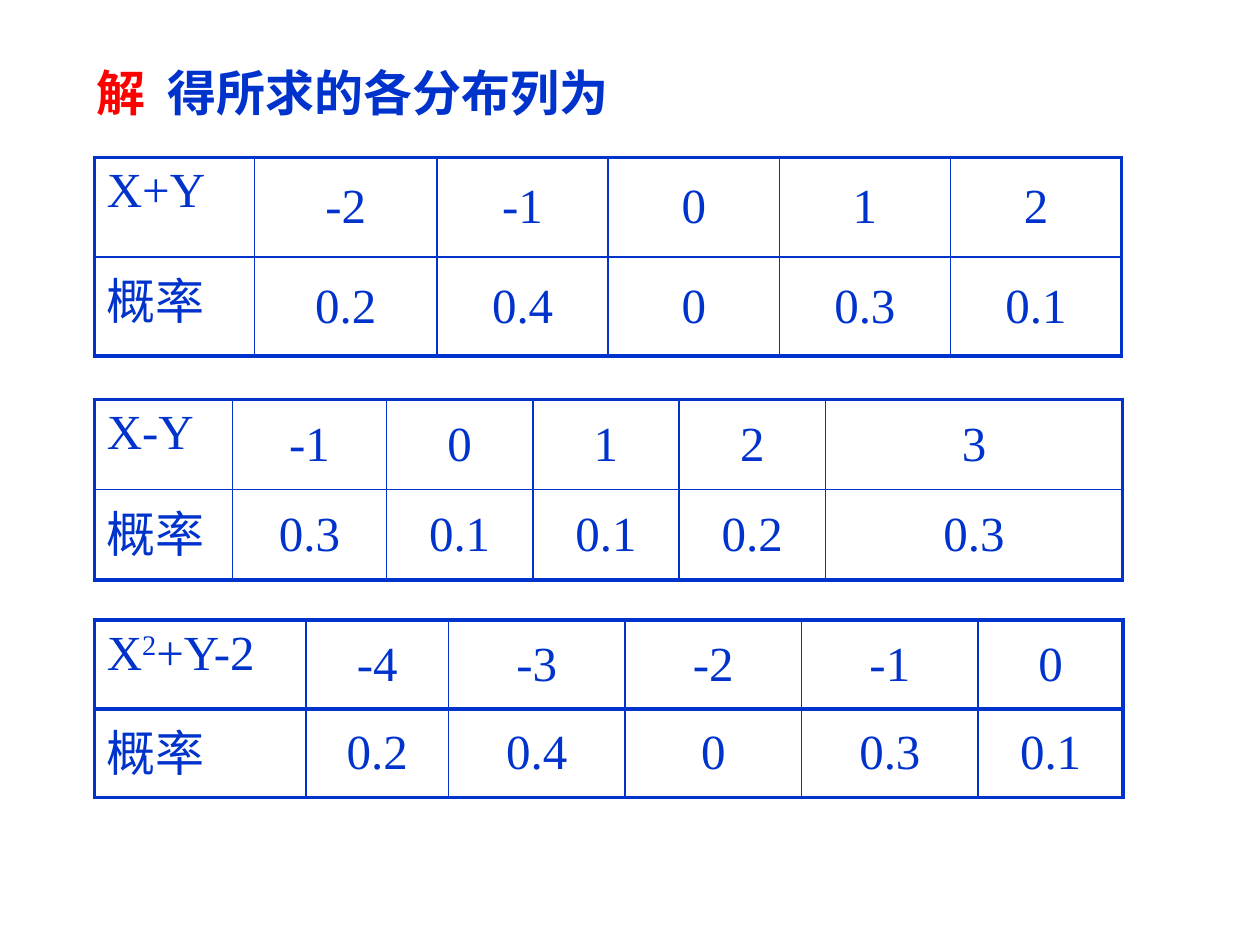
"""Build a slide with three probability distribution tables."""
from lxml import etree
from pptx import Presentation
from pptx.dml.color import RGBColor
from pptx.enum.text import MSO_ANCHOR, PP_ALIGN
from pptx.oxml.ns import qn
from pptx.util import Cm, Pt

TOP, MIDDLE = MSO_ANCHOR.TOP, MSO_ANCHOR.MIDDLE
LEFT, CENTER = PP_ALIGN.LEFT, PP_ALIGN.CENTER
BLUE, RED = "0033CC", "FF0000"
SERIF, SANS = "Times New Roman", "Noto Sans CJK SC"
THIN, THICK = 1, 2.25
TABLE_LEFT = 1.9
HEADING_TAB = 1.43

HEADING = [("解", RED), ("\t得所求的各分布列为", BLUE)]
PROBABILITY = [("概率", 0)]
DISTRIBUTIONS = [
    {"variable": [("X+Y", 0)], "top": 3.18, "row": 2.0, "divider": THIN,
     "columns": [3.23, 3.68, 3.45, 3.45, 3.45, 3.45],
     "values": ["-2", "-1", "0", "1", "2"],
     "chances": ["0.2", "0.4", "0", "0.3", "0.1"]},
    {"variable": [("X-Y", 0)], "top": 8.05, "row": 1.82, "divider": THIN,
     "columns": [2.79, 3.1, 2.95, 2.95, 2.95, 5.99],
     "values": ["-1", "0", "1", "2", "3"],
     "chances": ["0.3", "0.1", "0.1", "0.2", "0.3"]},
    {"variable": [("X", 0), ("2", 30000), ("+Y-2", 0)], "top": 12.5, "row": 1.79,
     "divider": THICK, "columns": [4.27, 2.87, 3.56, 3.56, 3.56, 2.92],
     "values": ["-4", "-3", "-2", "-1", "0"],
     "chances": ["0.2", "0.4", "0", "0.3", "0.1"]},
]


def rgb(value):
    return RGBColor.from_string(value)


def add_run(paragraph, text, color, latin, bold=False, baseline=0):
    run = paragraph.add_run()
    run.text = text
    for name, value in {"size": Pt(28), "bold": bold, "name": latin}.items():
        setattr(run.font, name, value)
    run.font.color.rgb = rgb(color)
    properties = run.font._element
    etree.SubElement(properties, qn("a:ea"), typeface=SANS)
    if baseline:
        properties.set("baseline", str(baseline))


def set_borders(cell, widths):
    properties = cell._tc.get_or_add_tcPr()
    for index, (side, width) in enumerate(zip(("lnL", "lnR", "lnT", "lnB"), widths)):
        line = etree.Element(qn(f"a:{side}"), w=str(int(Pt(width))))
        fill = etree.SubElement(line, qn("a:solidFill"))
        etree.SubElement(fill, qn("a:srgbClr"), val=BLUE)
        properties.insert(index, line)


def add_heading(slide):
    frame = slide.shapes.add_textbox(Cm(1.7), Cm(1.12), Cm(12.85), Cm(1.45)).text_frame
    for name, value in {"word_wrap": True, "vertical_anchor": MIDDLE}.items():
        setattr(frame, name, value)
    paragraph = frame.paragraphs[0]
    tabs = etree.SubElement(paragraph._p.get_or_add_pPr(), qn("a:tabLst"))
    etree.SubElement(tabs, qn("a:tab"), pos=str(int(Cm(HEADING_TAB))), algn="l")
    for text, color in HEADING:
        add_run(paragraph, text, color, SANS, bold=True)


def add_distribution(slide, distribution):
    columns, divider = distribution["columns"], distribution["divider"]
    rows = [
        [distribution["variable"]] + [[(value, 0)] for value in distribution["values"]],
        [PROBABILITY] + [[(chance, 0)] for chance in distribution["chances"]],
    ]
    table = slide.shapes.add_table(
        len(rows), len(columns), Cm(TABLE_LEFT), Cm(distribution["top"]),
        Cm(sum(columns)), Cm(distribution["row"] * len(rows))).table
    for name in ("first_row", "horz_banding"):
        setattr(table, name, False)
    for column, width in zip(table.columns, columns):
        column.width = Cm(width)
    for r, row in enumerate(rows):
        table.rows[r].height = Cm(distribution["row"])
        for c, pieces in enumerate(row):
            cell = table.cell(r, c)
            cell.fill.background()
            cell.vertical_anchor = MIDDLE if c else TOP
            paragraph = cell.text_frame.paragraphs[0]
            paragraph.alignment = CENTER if c else LEFT
            for text, baseline in pieces:
                add_run(paragraph, text, BLUE, SERIF, baseline=baseline)
            set_borders(cell, (
                THIN if c else THICK,
                THICK if c == len(columns) - 1 else THIN,
                divider if r else THICK,
                THICK if r == len(rows) - 1 else divider))


def main():
    presentation = Presentation()
    presentation.slide_width, presentation.slide_height = Cm(25.4), Cm(19.05)
    slide = presentation.slides.add_slide(presentation.slide_layouts[6])
    add_heading(slide)
    for distribution in DISTRIBUTIONS:
        add_distribution(slide, distribution)
    presentation.save("out.pptx")


if __name__ == "__main__":
    main()
